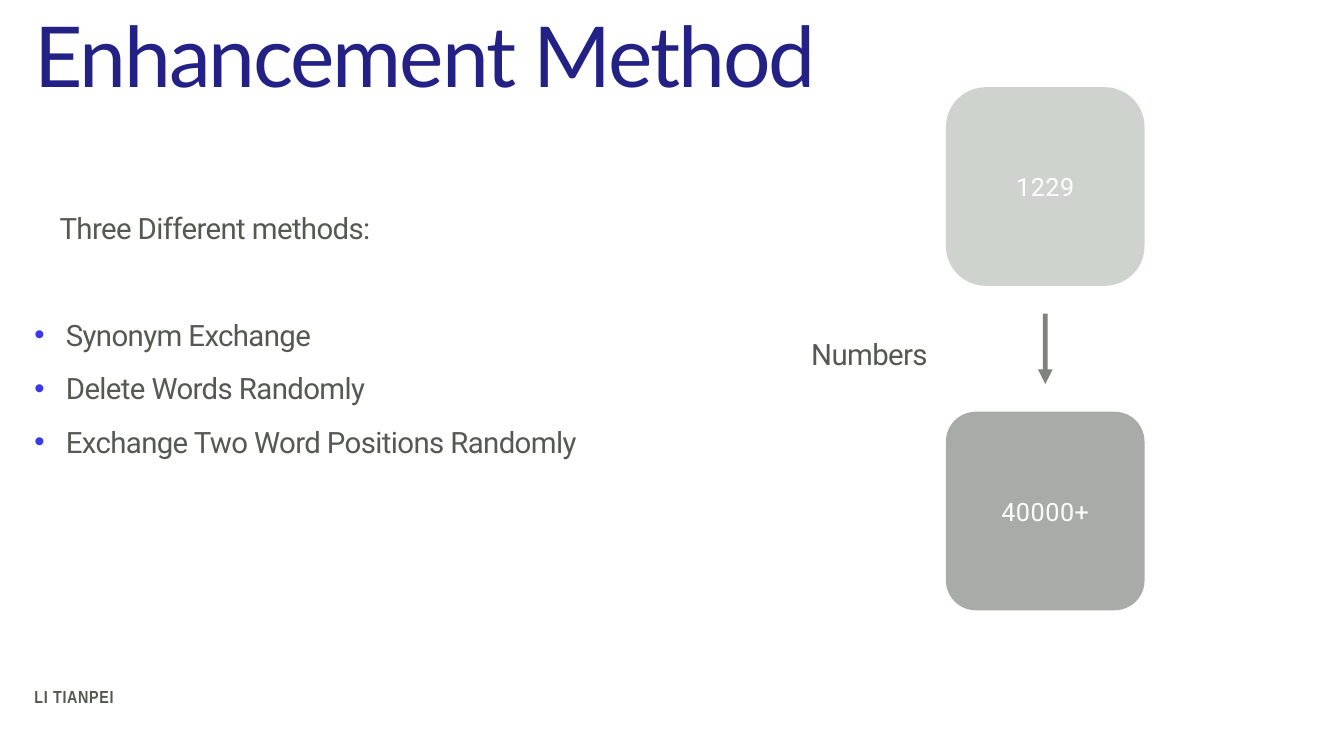
from dataclasses import dataclass

from lxml.etree import SubElement
from pptx import Presentation
from pptx.dml.color import RGBColor
from pptx.enum.shapes import MSO_CONNECTOR as Connector, MSO_SHAPE as Shape
from pptx.enum.text import MSO_ANCHOR as Anchor, PP_ALIGN as Align
from pptx.oxml.ns import qn
from pptx.util import Pt

COLORS = {
    "title": "232185",
    "bullet": "3B39E4",
    "text": "555952",
    "sage": "A1A99E",
    "white": "FFFFFF",
}
INSET = 4.5
MARGIN, BODY_WIDTH = 44.6, 1830
TILE_LEFT, TILE_SIZE = 1351.4, 283.7
TILE_CENTER = TILE_LEFT + TILE_SIZE / 2


@dataclass(frozen=True)
class Style:
    font: str
    size: float
    color: str
    tracking: float = 0
    bold: bool = False
    line_spacing: float = 1


@dataclass(frozen=True)
class Line:
    text: str
    space_before: float = 0
    left: float = 0
    indent: float = 0
    bullet: bool = False


@dataclass(frozen=True)
class Tile:
    text: str
    top: float
    color: str
    rounding: float


TITLE = Style("Lato", 120, "title", tracking=-3, line_spacing=0.6)
BODY = Style("Roboto", 42, "text", tracking=-0.9, line_spacing=0.8)
FIGURE = Style("Roboto", 36, "white", tracking=0.8)
FOOTER = Style("Arial Narrow", 25, "text", tracking=1, bold=True)

METHODS = ["Synonym Exchange", "Delete Words Randomly",
           "Exchange Two Word Positions Randomly"]
TILES = [Tile("1229", 124.6, "sage", 0.2), Tile("40000+", 588.2, "text", 0.15)]


def rgb(name: str) -> RGBColor:
    return RGBColor.from_string(COLORS[name])


def set_alpha(fill, percent: int) -> None:
    color = fill._xPr.find(qn("a:solidFill"))[0]
    SubElement(color, qn("a:alpha"), val=str(percent * 1000))


def add_bullet(para) -> None:
    properties = para._p.get_or_add_pPr()
    color = SubElement(properties, qn("a:buClr"))
    SubElement(color, qn("a:srgbClr"), val=COLORS["bullet"])
    SubElement(properties, qn("a:buFont"), typeface="Arial")
    SubElement(properties, qn("a:buChar"), char="•")


def add_text(page, left: float, top: float, width: float, height: float,
             lines: list[Line], style: Style, align=Align.LEFT,
             anchor=Anchor.TOP) -> None:
    box = page.shapes.add_textbox(Pt(left), Pt(top), Pt(width), Pt(height))
    frame = box.text_frame
    frame.word_wrap = True
    frame.vertical_anchor = anchor
    frame.margin_left = frame.margin_right = Pt(INSET)
    frame.margin_top = frame.margin_bottom = Pt(INSET)
    for index, line in enumerate(lines):
        para = frame.add_paragraph() if index else frame.paragraphs[0]
        para.alignment = align
        para.line_spacing = style.line_spacing
        para.space_before = Pt(line.space_before)
        properties = para._p.get_or_add_pPr()
        properties.set("marL", str(Pt(line.left)))
        properties.set("indent", str(Pt(line.indent)))
        if line.bullet:
            add_bullet(para)
        span = para.add_run()
        span.text = line.text
        span.font.name = style.font
        span.font.size = Pt(style.size)
        span.font.bold = style.bold
        span.font.color.rgb = rgb(style.color)
        span._r.get_or_add_rPr().set("spc", str(round(style.tracking * 100)))


def add_tile(page, tile: Tile) -> None:
    square = page.shapes.add_shape(Shape.ROUNDED_RECTANGLE, Pt(TILE_LEFT),
                                   Pt(tile.top), Pt(TILE_SIZE), Pt(TILE_SIZE))
    square.adjustments[0] = tile.rounding
    square.shadow.inherit = False
    square.fill.solid()
    square.fill.fore_color.rgb = rgb(tile.color)
    set_alpha(square.fill, 50)
    square.line.fill.background()
    width, height = 188, 54
    middle = tile.top + TILE_SIZE / 2
    add_text(page, TILE_CENTER - width / 2, middle - height / 2, width, height,
             [Line(tile.text)], FIGURE, Align.CENTER, Anchor.MIDDLE)


def add_arrow(page, x: float, top: float, bottom: float) -> None:
    arrow = page.shapes.add_connector(Connector.STRAIGHT, Pt(x), Pt(top),
                                      Pt(x), Pt(bottom))
    arrow.line.width = Pt(7)
    arrow.line.color.rgb = rgb("text")
    set_alpha(arrow.line.fill, 75)
    SubElement(arrow.line._get_or_add_ln(), qn("a:tailEnd"), type="triangle")
    SubElement(arrow._element.spPr, qn("a:effectLst"))


def main() -> None:
    deck = Presentation()
    deck.slide_width, deck.slide_height = Pt(1920), Pt(1080)
    page = deck.slides.add_slide(deck.slide_layouts[6])

    # Title and footer
    add_text(page, MARGIN, 51, BODY_WIDTH, 153, [Line("Enhancement Method")], TITLE)
    add_text(page, MARGIN, 976, BODY_WIDTH, 44, [Line("LI TIANPEI")], FOOTER)

    # List of methods, with a wider gap below its heading
    lines = [Line("Three Different methods:", indent=36)]
    for index, method in enumerate(METHODS):
        lines.append(Line(method, 36 if index else 112, 45, -45, True))
    add_text(page, MARGIN, 306, BODY_WIDTH, 537, lines, BODY)

    # Growth in numbers
    for tile in TILES:
        add_tile(page, tile)
    add_arrow(page, TILE_CENTER, 448, 548.6)
    add_text(page, 1097, 486, 254, 93, [Line("Numbers", indent=36)], BODY,
             Align.CENTER)

    deck.save("out.pptx")


if __name__ == "__main__":
    main()
